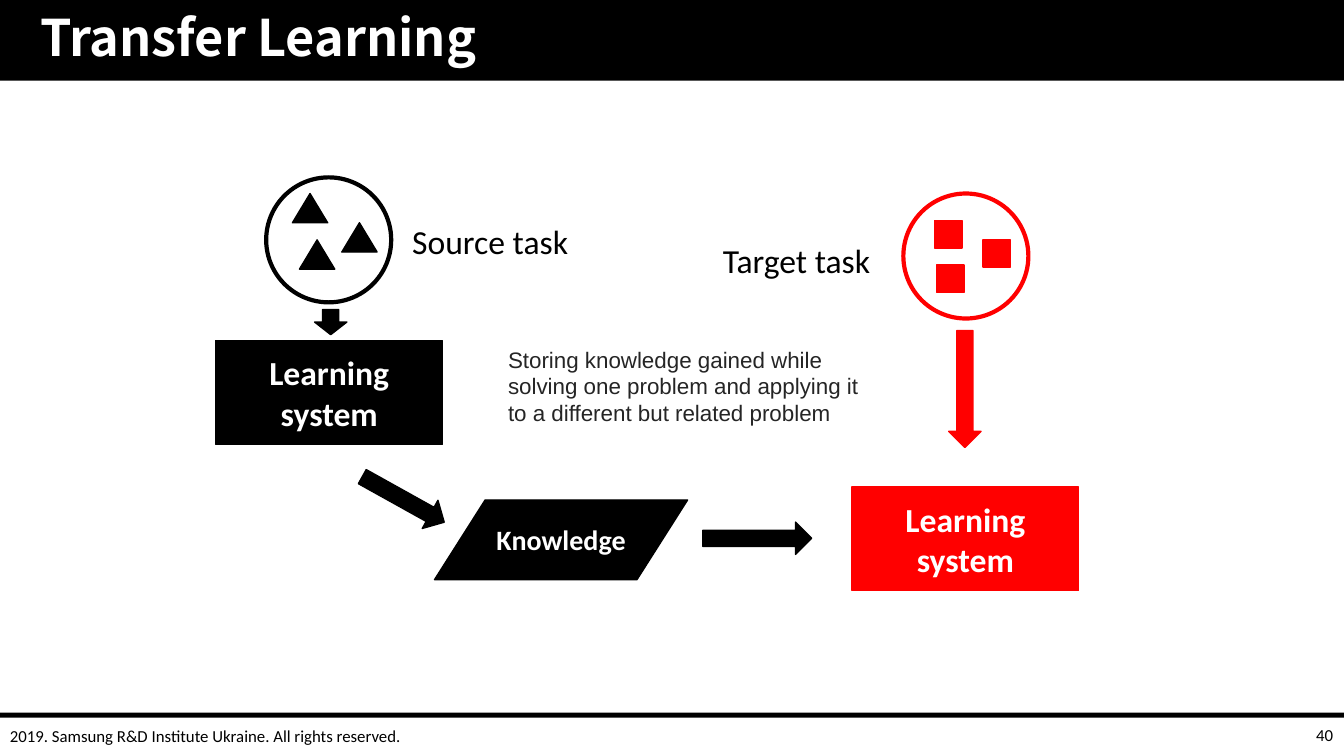
"""Build the Transfer Learning slide on a grid of tenth-inch cells."""
from dataclasses import dataclass
from typing import NamedTuple

from pptx import Presentation
from pptx.dml.color import RGBColor
from pptx.enum.shapes import MSO_SHAPE
from pptx.enum.text import MSO_ANCHOR, MSO_AUTO_SIZE, PP_ALIGN
from pptx.util import Inches, Pt


@dataclass(frozen=True)
class Theme:
    black: str = "000000"
    white: str = "FFFFFF"
    red: str = "FF0000"
    grey: str = "252525"
    sans: str = "Calibri"
    head: str = "Noto Sans CJK KR"
    plain: str = "Arial"
    title: int = 36
    large: int = 24
    mid: int = 20
    note: int = 16
    small: int = 12


class Area(NamedTuple):
    col: float
    row: float
    cols: float
    rows: float


@dataclass(frozen=True)
class Form:
    kind: MSO_SHAPE
    area: Area
    fill: str
    edge: str | None = None
    weight: float = 1
    turn: float = 0
    text: str = ""
    size: int = 24


@dataclass(frozen=True)
class Label:
    text: str
    area: Area
    size: int
    ink: str = "000000"
    font: str = "Calibri"
    bold: bool = False
    align: PP_ALIGN = PP_ALIGN.LEFT
    anchor: MSO_ANCHOR = MSO_ANCHOR.MIDDLE
    wrap: bool = True
    grow: bool = False
    indent: float = 0
    lead: float = 1


T = Theme()
COLS, ROWS = 133.3, 75


def cells(count: float) -> int:
    return Inches(count / 10)


def place(area: Area) -> list[int]:
    return [cells(part) for part in area]


def write(frame, text: str, *, size: int, ink: str, font: str = T.sans,
          bold: bool = False, align: PP_ALIGN = PP_ALIGN.LEFT,
          anchor: MSO_ANCHOR = MSO_ANCHOR.MIDDLE, wrap: bool = True,
          grow: bool = False, indent: float = 0, lead: float = 1) -> None:
    frame.word_wrap = wrap
    frame.vertical_anchor = anchor
    frame.auto_size = MSO_AUTO_SIZE.SHAPE_TO_FIT_TEXT if grow else MSO_AUTO_SIZE.NONE
    para = frame.paragraphs[0]
    para.alignment = align
    para.line_spacing = lead
    if indent:
        props = para._p.get_or_add_pPr()
        props.set("marL", str(cells(indent)))
        props.set("indent", "0")
    run = para.add_run()
    run.text = text
    run.font.size = Pt(size)
    run.font.name = font
    run.font.bold = bold
    run.font.color.rgb = RGBColor.from_string(ink)


def draw(slide, form: Form) -> None:
    shape = slide.shapes.add_shape(form.kind, *place(form.area))
    shape.shadow.inherit = False
    shape.rotation = form.turn
    shape.fill.solid()
    shape.fill.fore_color.rgb = RGBColor.from_string(form.fill)
    if form.edge:
        shape.line.color.rgb = RGBColor.from_string(form.edge)
        shape.line.width = Pt(form.weight)
    else:
        shape.line.fill.background()
    if form.text:
        write(shape.text_frame, form.text, size=form.size, ink=T.white,
              bold=True, align=PP_ALIGN.CENTER)


def label(slide, item: Label) -> None:
    box = slide.shapes.add_textbox(*place(item.area))
    write(box.text_frame, item.text, size=item.size, ink=item.ink,
          font=item.font, bold=item.bold, align=item.align,
          anchor=item.anchor, wrap=item.wrap, grow=item.grow,
          indent=item.indent, lead=item.lead)


def solid(kind: MSO_SHAPE, area: Area, tint: str, **more) -> Form:
    return Form(kind, area, tint, tint, **more)


def ring(col: float, row: float, tint: str) -> Form:
    return Form(MSO_SHAPE.OVAL, Area(col, row, 12.4, 12.4), T.white, tint, 3)


def system(col: float, row: float, tint: str) -> Form:
    return solid(MSO_SHAPE.RECTANGLE, Area(col, row, 22.5, 10.3), tint,
                 text="Learning system", size=T.large)


def arrow(col: float, row: float, span: float, tint: str, turn: float = 0) -> Form:
    return solid(MSO_SHAPE.DOWN_ARROW, Area(col, row, 3.2, span), tint, turn=turn)


FORMS = [
    Form(MSO_SHAPE.RECTANGLE, Area(0, 0, COLS, 8), T.black),
    Form(MSO_SHAPE.RECTANGLE, Area(0, 70.7, COLS, 0.5), T.black),
    ring(26.4, 17.6, T.black),
    ring(89.6, 19.2, T.red),
    *(solid(MSO_SHAPE.ISOSCELES_TRIANGLE, Area(col, row, 3.5, 2.9), T.black)
      for col, row in [(29.7, 23.8), (33.9, 22.1), (29, 19.2)]),
    *(solid(MSO_SHAPE.RECTANGLE, Area(col, row, 2.7, 2.7), T.red)
      for col, row in [(92.9, 26.3), (97.5, 23.8), (92.7, 21.9)]),
    system(21.4, 33.8, T.black),
    system(84.5, 48.3, T.red),
    solid(MSO_SHAPE.FLOWCHART_DATA, Area(43.1, 49.6, 25.1, 7.9), T.black,
          text="Knowledge", size=T.mid),
    arrow(31.2, 30.7, 2.5, T.black),
    arrow(38.4, 44.9, 9.3, T.black, 299.1),
    arrow(94.1, 32.8, 11.6, T.red),
    arrow(73.5, 48, 10.8, T.black, 270),
]

LABELS = [
    Label("Transfer Learning", Area(0, 0, 115.5, 8), T.title, T.white, T.head,
          bold=True, indent=3, lead=0.9),
    Label("40", Area(103.2, 70.9, 30, 4), T.small, align=PP_ALIGN.RIGHT),
    Label("2019. Samsung R&D Institute Ukraine. All rights reserved.",
          Area(0, 71, 43, 4), T.small),
    Label("Source task", Area(39.9, 21.4, 17.6, 5), T.large,
          anchor=MSO_ANCHOR.TOP, wrap=False, grow=True),
    Label("Target task", Area(70.7, 23.3, 16.8, 5), T.large,
          anchor=MSO_ANCHOR.TOP, wrap=False, grow=True),
    Label("Storing knowledge gained while solving one problem and applying it "
          "to a different but related problem", Area(49.4, 33.8, 37.5, 9.1),
          T.note, T.grey, T.plain, anchor=MSO_ANCHOR.TOP, grow=True),
]


def main() -> None:
    deck = Presentation()
    deck.slide_width, deck.slide_height = cells(COLS), cells(ROWS)
    slide = deck.slides.add_slide(deck.slide_layouts[6])
    for form in FORMS:
        draw(slide, form)
    for item in LABELS:
        label(slide, item)
    deck.save("out.pptx")


if __name__ == "__main__":
    main()
